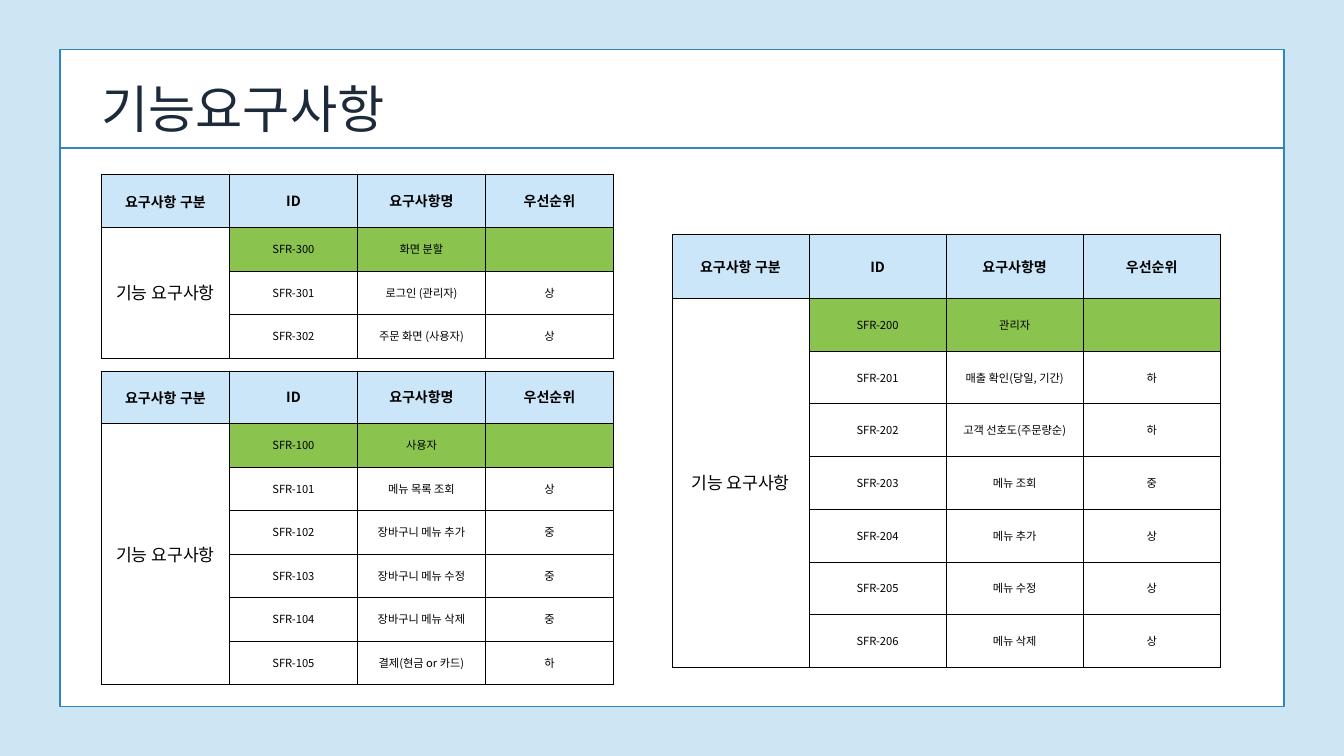
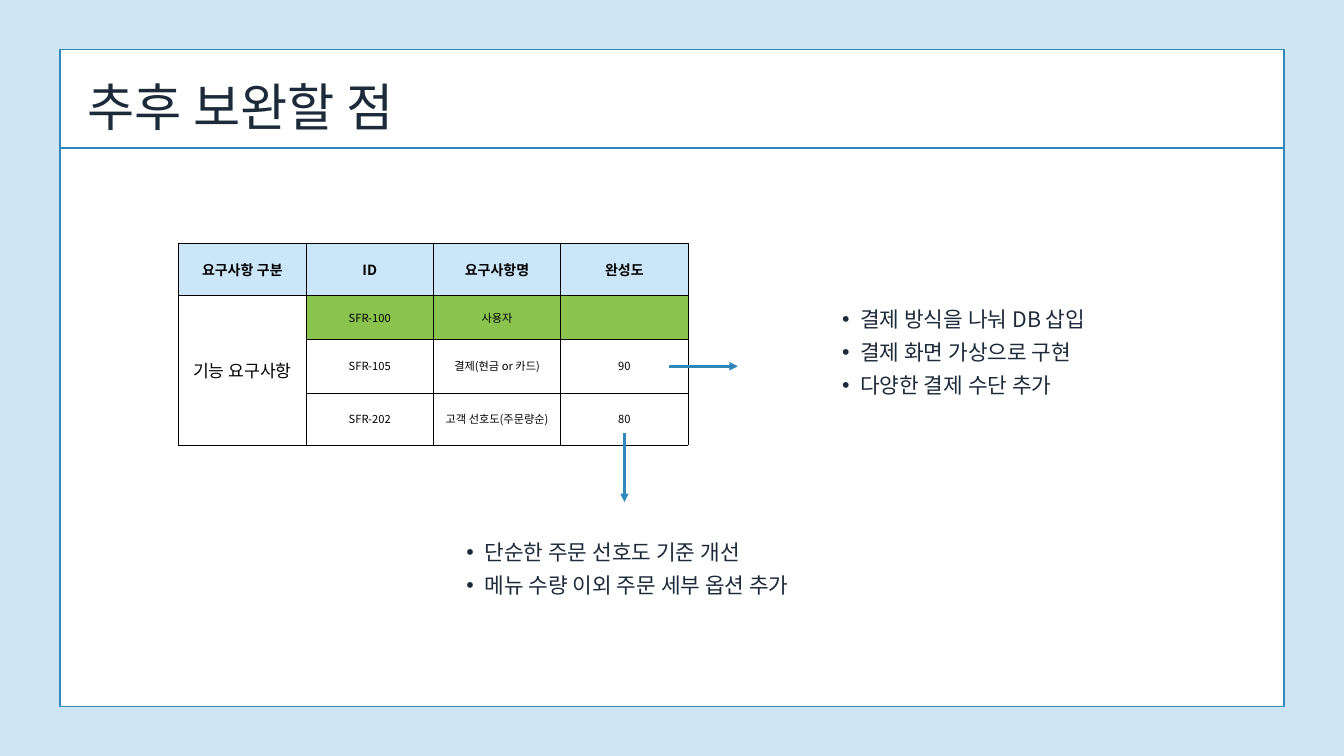
from collections import namedtuple

from lxml import etree
from pptx import Presentation
from pptx.dml.color import RGBColor
from pptx.enum.shapes import MSO_CONNECTOR, MSO_SHAPE
from pptx.enum.text import MSO_ANCHOR, MSO_AUTO_SIZE, PP_ALIGN
from pptx.oxml.ns import qn
from pptx.util import Inches, Pt

STRAIGHT = MSO_CONNECTOR.STRAIGHT
RECTANGLE = MSO_SHAPE.RECTANGLE
TOP, MIDDLE = MSO_ANCHOR.TOP, MSO_ANCHOR.MIDDLE
GROW = MSO_AUTO_SIZE.SHAPE_TO_FIT_TEXT
LEFT, CENTER, JUSTIFY = PP_ALIGN.LEFT, PP_ALIGN.CENTER, PP_ALIGN.JUSTIFY

SKY = RGBColor(0xCE, 0xE6, 0xF4)
WHITE = RGBColor(0xFF, 0xFF, 0xFF)
BLUE = RGBColor(0x30, 0x87, 0xBB)
NAVY = RGBColor(0x1D, 0x2A, 0x3A)
BLACK = RGBColor(0, 0, 0)
HEADER_BLUE = RGBColor(0xCB, 0xE6, 0xF8)
GROUP_GREEN = RGBColor(0x8A, 0xC4, 0x4F)

KOREAN_FONT = "Noto Sans CJK KR"
TABLE_FONT = "Noto Sans CJK SC"
LABEL_FONT = "Roboto"
TITLE_ONLY, TWO_CONTENT = 5, 3
LINE_RATIO = 1.4

Box = namedtuple("Box", "left top width height")
PANEL = Box(0.89, 0.74, 18.22, 9.77)
TITLE_BAND = 1.46
CATEGORY = "기능 요구사항"
HEADINGS = ["요구사항 구분", "ID", "요구사항명"]

SCREEN_ROWS = [
    ("SFR-300", "화면 분할", ""),
    ("SFR-301", "로그인 (관리자)", "상"),
    ("SFR-302", "주문 화면 (사용자)", "상"),
]
USER_ROWS = [
    ("SFR-100", "사용자", ""),
    ("SFR-101", "메뉴 목록 조회", "상"),
    ("SFR-102", "장바구니 메뉴 추가", "중"),
    ("SFR-103", "장바구니 메뉴 수정", "중"),
    ("SFR-104", "장바구니 메뉴 삭제", "중"),
    ("SFR-105", "결제(현금 or 카드)", "하"),
]
ADMIN_ROWS = [
    ("SFR-200", "관리자", ""),
    ("SFR-201", "매출 확인(당일, 기간)", "하"),
    ("SFR-202", "고객 선호도(주문량순)", "하"),
    ("SFR-203", "메뉴 조회", "중"),
    ("SFR-204", "메뉴 추가", "상"),
    ("SFR-205", "메뉴 수정", "상"),
    ("SFR-206", "메뉴 삭제", "상"),
]
UNFINISHED_ROWS = [
    ("SFR-100", "사용자", ""),
    ("SFR-105", "결제(현금 or 카드)", "90"),
    ("SFR-202", "고객 선호도(주문량순)", "80"),
]
PAYMENT_NOTES = ["결제 방식을 나눠 DB 삽입", "결제 화면 가상으로 구현", "다양한 결제 수단 추가"]
PREFERENCE_NOTES = ["단순한 주문 선호도 기준 개선", "메뉴 수량 이외 주문 세부 옵션 추가"]


def add_run(paragraph, text, size, font, color, bold=False):
    """Add one run with the same Latin and East Asian typeface."""
    run = paragraph.add_run()
    run.text = text
    run.font.size = Pt(size)
    run.font.name = font
    run.font.bold = bold
    run.font.color.rgb = color
    latin = run.font._element.find(qn("a:latin"))
    east_asian = etree.Element(qn("a:ea"), typeface=font)
    latin.addnext(east_asian)


def add_line(slide, start, end, width, arrow=False):
    """Draw a straight blue line, with an arrowhead at its end if asked."""
    line = slide.shapes.add_connector(STRAIGHT, *map(Inches, start + end))
    line.line.color.rgb = BLUE
    line.line.width = Pt(width)
    if arrow:
        etree.SubElement(line.line._get_or_add_ln(), qn("a:tailEnd"), type="triangle")
    etree.SubElement(line._element.spPr, qn("a:effectLst"))
    return line


def add_frame(slide):
    """Put the white panel and the rule under its title band behind the content."""
    panel = slide.shapes.add_shape(RECTANGLE, *map(Inches, PANEL))
    panel.shadow.inherit = False
    panel.fill.solid()
    panel.fill.fore_color.rgb = WHITE
    panel.line.color.rgb = BLUE
    panel.line.width = Pt(1.5)
    rule_y = PANEL.top + TITLE_BAND
    rule = add_line(slide, (PANEL.left, rule_y), (PANEL.left + PANEL.width, rule_y), 1.5)
    for position, part in enumerate((panel, rule), start=2):
        slide.shapes._spTree.insert(position, part._element)


def prepare_placeholder(placeholder, box):
    """Place a placeholder in its box and return its unpadded text frame."""
    placeholder.left, placeholder.top, placeholder.width, placeholder.height = map(Inches, box)
    frame = placeholder.text_frame
    frame.margin_left = frame.margin_right = frame.margin_top = frame.margin_bottom = 0
    frame.vertical_anchor = TOP
    frame.word_wrap = True
    frame.auto_size = GROW
    return frame


def set_title(slide, box, text):
    """Write the slide title."""
    paragraph = prepare_placeholder(slide.shapes.title, box).paragraphs[0]
    paragraph.alignment = LEFT
    paragraph.line_spacing = Pt(77)
    add_run(paragraph, text, 55, KOREAN_FONT, NAVY)


def fill_notes(placeholder, box, notes):
    """Write a bulleted list of improvements."""
    frame = prepare_placeholder(placeholder, box)
    for index, note in enumerate(notes):
        paragraph = frame.add_paragraph() if index else frame.paragraphs[0]
        properties = paragraph._p.get_or_add_pPr()
        properties.set("marL", str(Inches(0.54)))
        properties.set("indent", str(Inches(-0.27)))
        etree.SubElement(properties, qn("a:buFont"), typeface="Arial")
        etree.SubElement(properties, qn("a:buChar"), char="•")
        paragraph.level = 1
        paragraph.alignment = JUSTIFY
        paragraph.line_spacing = Pt(35.2)
        paragraph.space_before = Pt(0)
        add_run(paragraph, note, 22.9, KOREAN_FONT, NAVY)


def format_cell(cell, fill):
    """Give a cell its borders, padding, anchor and fill."""
    properties = cell._tc.get_or_add_tcPr()
    for side in ("a:lnL", "a:lnR", "a:lnT", "a:lnB"):
        border = etree.SubElement(properties, qn(side), w=str(Pt(0.75)))
        solid = etree.SubElement(border, qn("a:solidFill"))
        etree.SubElement(solid, qn("a:srgbClr"), val=str(BLACK))
    cell.margin_left = cell.margin_right = cell.margin_top = cell.margin_bottom = Inches(0.06)
    cell.vertical_anchor = MIDDLE
    if fill is None:
        cell.fill.background()
    else:
        cell.fill.solid()
        cell.fill.fore_color.rgb = fill


def write_cell(cell, text, size, font=TABLE_FONT, bold=False):
    """Write centred text in a cell."""
    paragraph = cell.text_frame.paragraphs[0]
    paragraph.alignment = CENTER
    paragraph.line_spacing = Pt(round(size * LINE_RATIO, 1))
    if text:
        add_run(paragraph, text, size, font, BLACK, bold)


def add_requirements(slide, box, header_height, last_heading, requirements, row_heights=None):
    """Build a table of requirements under one merged category cell."""
    headings = HEADINGS + [last_heading]
    count = len(requirements)
    table = slide.shapes.add_table(count + 1, len(headings), *map(Inches, box)).table
    table.first_row = table.horz_banding = False
    for column in table.columns:
        column.width = Inches(box.width / len(headings))
    body_heights = row_heights or [(box.height - header_height) / count] * count
    for row, height in zip(table.rows, [header_height] + body_heights):
        row.height = Inches(height)

    for column, heading in enumerate(headings):
        format_cell(table.cell(0, column), HEADER_BLUE)
        font = TABLE_FONT if column else LABEL_FONT
        write_cell(table.cell(0, column), heading, 15, font, bold=True)
    for row, requirement in enumerate(requirements, start=1):
        format_cell(table.cell(row, 0), None)
        for column, text in enumerate(requirement, start=1):
            format_cell(table.cell(row, column), GROUP_GREEN if row == 1 else None)
            write_cell(table.cell(row, column), text, 12)
    table.cell(1, 0).merge(table.cell(count, 0))
    write_cell(table.cell(1, 0), CATEGORY, 18.4)


def build_requirements_slide(prs):
    """Build the slide of functional requirements."""
    slide = prs.slides.add_slide(prs.slide_layouts[TITLE_ONLY])
    add_frame(slide)
    add_requirements(slide, Box(1.51, 2.6, 7.62, 2.73), 0.78, "우선순위", SCREEN_ROWS)
    add_requirements(slide, Box(1.51, 5.52, 7.62, 4.67), 0.78, "우선순위", USER_ROWS)
    add_requirements(slide, Box(10, 3.49, 8.16, 6.44), 0.95, "우선순위", ADMIN_ROWS)
    set_title(slide, Box(1.51, 1, 4.56, 1.03), "기능요구사항")


def build_improvements_slide(prs):
    """Build the slide of points to improve, with arrows from the table to the notes."""
    slide = prs.slides.add_slide(prs.slide_layouts[TWO_CONTENT])
    add_frame(slide)
    set_title(slide, Box(1.3, 0.97, 4.87, 1.03), "추후 보완할 점")
    box = Box(2.66, 3.62, 7.58, 3)
    header_height, row_heights = 0.78, [0.65, 0.8, 0.77]
    add_requirements(slide, box, header_height, "완성도", UNFINISHED_ROWS, row_heights)

    arrow_length = 1.02
    payment_x = box.left + box.width - 0.28
    payment_y = box.top + header_height + row_heights[0] + row_heights[1] / 2
    add_line(slide, (payment_x, payment_y), (payment_x + arrow_length, payment_y), 3, arrow=True)
    preference_x = box.left + box.width * 7 / 8
    preference_y = box.top + box.height - 0.17
    add_line(slide, (preference_x, preference_y),
             (preference_x, preference_y + arrow_length), 3, arrow=True)

    fill_notes(slide.placeholders[1], Box(12.26, 4.45, 3.98, 1.47), PAYMENT_NOTES)
    fill_notes(slide.placeholders[2], Box(6.67, 7.92, 5.26, 0.98), PREFERENCE_NOTES)


def main():
    """Build and save the presentation."""
    prs = Presentation()
    prs.slide_width, prs.slide_height = Inches(20), Inches(11.25)
    background = prs.slide_master.background.fill
    background.solid()
    background.fore_color.rgb = SKY
    build_requirements_slide(prs)
    build_improvements_slide(prs)
    prs.save("out.pptx")


if __name__ == "__main__":
    main()
